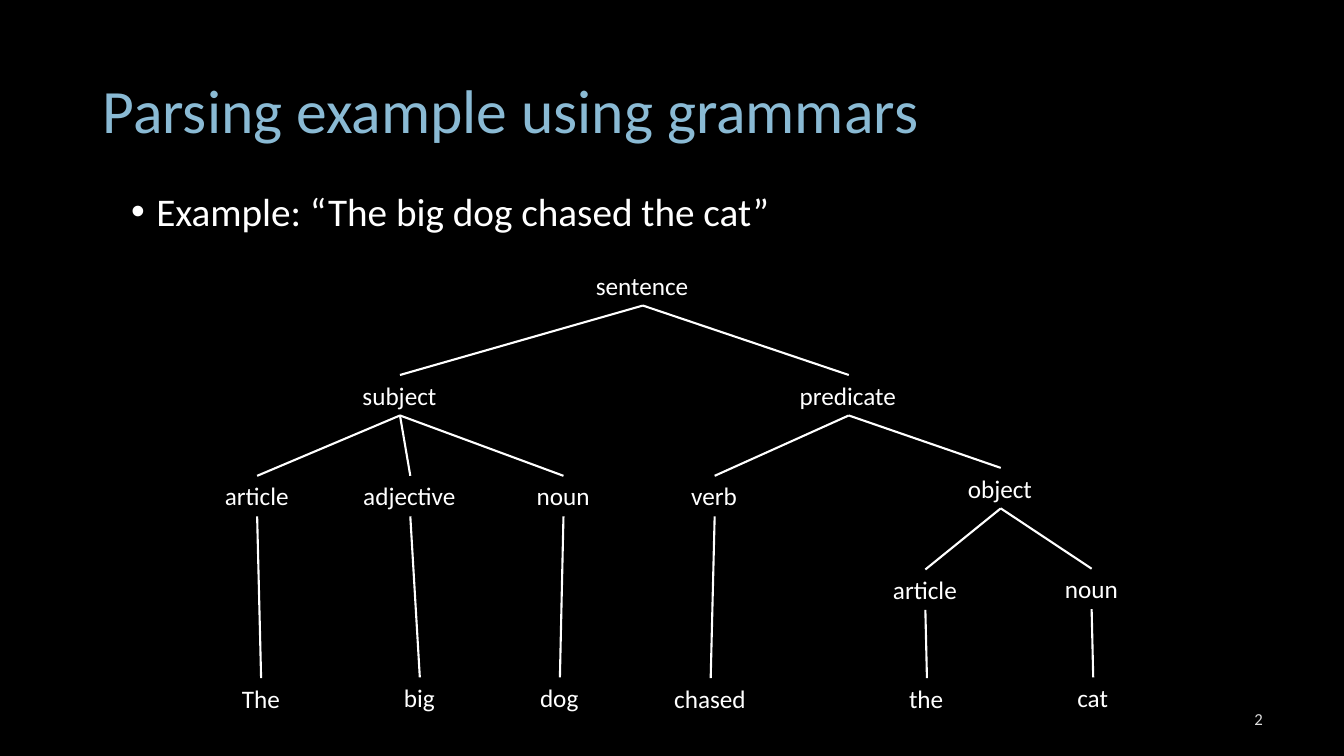
from dataclasses import dataclass

from lxml.etree import SubElement
from pptx import Presentation
from pptx.dml.color import RGBColor
from pptx.enum.shapes import MSO_CONNECTOR
from pptx.enum.text import MSO_ANCHOR, MSO_AUTO_SIZE, PP_ALIGN
from pptx.oxml.ns import qn
from pptx.util import Cm, Pt

BLACK = RGBColor(0x00, 0x00, 0x00)
WHITE = RGBColor(0xFF, 0xFF, 0xFF)
SKY = RGBColor(0x8A, 0xBA, 0xD4)
GREY = RGBColor(0xDD, 0xDD, 0xDD)
FONT = "Calibri"
NODE_HEIGHT = 1.02


@dataclass
class Node:
    """A word in the parse tree; centre, top and width in centimetres."""
    text: str
    x: float
    top: float
    width: float
    children: tuple = ()


TREE = Node("sentence", 16.2, 6.68, 2.87, (
    Node("subject", 10.08, 9.45, 2.39, (
        Node("article", 6.48, 11.99, 2.13, (Node("The", 6.58, 17.09, 1.47),)),
        Node("adjective", 10.34, 11.99, 2.87, (Node("big", 10.58, 17.07, 1.3),)),
        Node("noun", 14.2, 11.99, 1.85, (Node("dog", 14.11, 17.07, 1.5),)),
    )),
    Node("predicate", 21.39, 9.45, 2.97, (
        Node("verb", 18.01, 11.99, 1.68, (Node("chased", 17.91, 17.09, 2.34),)),
        Node("object", 25.22, 11.79, 2.16, (
            Node("article", 23.32, 14.35, 2.13, (Node("the", 23.36, 17.09, 1.4),)),
            Node("noun", 27.51, 14.33, 1.85, (Node("cat", 27.55, 17.07, 1.3),)),
        )),
    )),
))


def write(sp, text, size=18, color=WHITE, align=PP_ALIGN.LEFT,
          anchor=MSO_ANCHOR.TOP, wrap=True, spacing=None, before=0):
    """Put formatted text in a shape and return its paragraph."""
    tf = sp.text_frame
    tf.word_wrap = wrap
    tf.vertical_anchor = anchor
    tf.auto_size = MSO_AUTO_SIZE.NONE if wrap else MSO_AUTO_SIZE.SHAPE_TO_FIT_TEXT
    p = tf.paragraphs[0]
    p.alignment = align
    p.line_spacing = spacing
    p.space_before = Pt(before)
    r = p.add_run()
    r.text = text
    r.font.name = FONT
    r.font.size = Pt(size)
    r.font.color.rgb = color
    return p


def place(sp, left, top, width, height):
    """Move and size a placeholder."""
    sp.left, sp.top, sp.width, sp.height = map(Cm, (left, top, width, height))


def add_bullet(p):
    """Give a paragraph a round bullet with a hanging indent."""
    pPr = p._p.get_or_add_pPr()
    pPr.set("marL", str(Cm(0.635)))
    pPr.set("indent", str(Cm(-0.635)))
    SubElement(pPr, qn("a:buFont"), typeface="Arial")
    SubElement(pPr, qn("a:buChar"), char="•")


def add_branch(shapes, parent, child):
    """Draw the line from a parent's foot to its child's head."""
    line = shapes.add_connector(
        MSO_CONNECTOR.STRAIGHT, Cm(parent.x), Cm(parent.top + NODE_HEIGHT),
        Cm(child.x), Cm(child.top))
    line.line.color.rgb = WHITE
    line.line.width = Pt(1.5)
    SubElement(line._element.spPr, qn("a:effectLst"))


def add_tree(shapes, node):
    """Draw a node and everything below it."""
    sp = shapes.add_textbox(Cm(node.x - node.width / 2), Cm(node.top),
                            Cm(node.width), Cm(NODE_HEIGHT))
    write(sp, node.text, wrap=False)
    for child in node.children:
        add_branch(shapes, node, child)
        add_tree(shapes, child)


def main():
    """Build and save the slide."""
    prs = Presentation()
    prs.slide_width, prs.slide_height = Cm(33.87), Cm(19.05)
    slide = prs.slides.add_slide(prs.slide_layouts[1])
    slide.background.fill.solid()
    slide.background.fill.fore_color.rgb = BLACK

    title, body = slide.placeholders
    place(title, 2.33, 1.01, 29.21, 3.68)
    write(title, "Parsing example using grammars", size=44, color=SKY,
          anchor=MSO_ANCHOR.MIDDLE, spacing=0.9)
    place(body, 3.05, 4.72, 29.21, 12.09)
    add_bullet(write(body, "Example: “The big dog chased the cat”", size=28,
                     spacing=0.9, before=10))

    add_tree(slide.shapes.add_group_shape().shapes, TREE)

    number = slide.shapes.add_textbox(Cm(26.16), Cm(17.6), Cm(5.92), Cm(1.02))
    write(number, "2", size=12, color=GREY, align=PP_ALIGN.RIGHT,
          anchor=MSO_ANCHOR.MIDDLE)
    prs.save("out.pptx")


if __name__ == "__main__":
    main()
